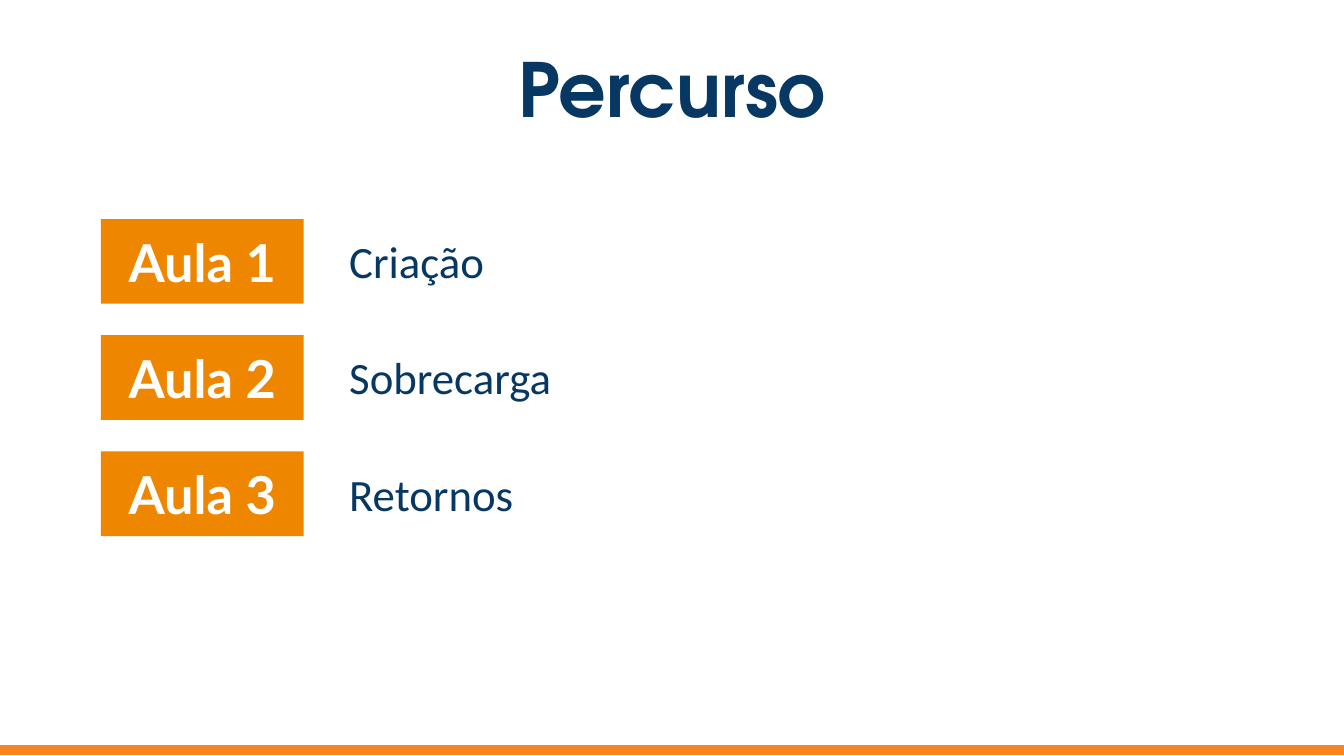
"""Build the course path slide with its three lessons."""
from pptx import Presentation
from pptx.dml.color import RGBColor
from pptx.enum.shapes import MSO_SHAPE
from pptx.enum.text import MSO_ANCHOR, PP_ALIGN
from pptx.util import Inches, Pt

RECT = MSO_SHAPE.RECTANGLE
MIDDLE, TOP = MSO_ANCHOR.MIDDLE, MSO_ANCHOR.TOP
CENTER, LEFT = PP_ALIGN.CENTER, PP_ALIGN.LEFT
NAVY = RGBColor(0x07, 0x37, 0x63)
ORANGE = RGBColor(0xEF, 0x86, 0x00)
AMBER = RGBColor(0xF7, 0x83, 0x21)
WHITE = RGBColor(0xFF, 0xFF, 0xFF)


def write(shape, text, font, size, color, bold, align, anchor, pad):
    frame = shape.text_frame
    frame.word_wrap = True
    frame.vertical_anchor = anchor
    frame.margin_left = frame.margin_right = Inches(0.1)
    frame.margin_top = frame.margin_bottom = Inches(pad)
    line = frame.paragraphs[0]
    line.text = text
    line.alignment = align
    line.font.name = font
    line.font.size = Pt(size)
    line.font.bold = bold
    line.font.color.rgb = color


def block(left, top, width, height, color):
    shape = slide.shapes.add_shape(
        RECT, Inches(left), Inches(top), Inches(width), Inches(height))
    shape.shadow.inherit = False
    shape.fill.solid()
    shape.fill.fore_color.rgb = color
    shape.line.fill.background()
    return shape


deck = Presentation()
deck.slide_width = Inches(10)
deck.slide_height = Inches(10 * 9 / 16)
slide = deck.slides.add_slide(deck.slide_layouts[6])

title = slide.shapes.add_textbox(
    Inches(0.34), Inches(0.33), Inches(9.32), Inches(0.65))
write(title, "Percurso", "TeX Gyre Adventor", 40, NAVY, True, CENTER, MIDDLE, 0.1)

footer = block(0, 5.55, 10, 0.06, AMBER)
footer.line.color.rgb = AMBER
footer.line.width = Pt(0.75)

lessons = [("Criação", 5.4), ("Sobrecarga", 3.42), ("Retornos", 4.86)]
for index, (topic, width) in enumerate(lessons):
    top = 1.63 + index * 1.73 / 2
    label = block(0.75, top, 1.51, 0.63, ORANGE)
    write(label, f"Aula {index + 1}", "Lato", 28, WHITE, True, CENTER, MIDDLE, 0.1)
    box = slide.shapes.add_textbox(
        Inches(2.5), Inches(top + 0.06), Inches(width), Inches(0.5))
    write(box, topic, "Calibri", 24, NAVY, False, LEFT, TOP, 0.05)

deck.save("out.pptx")
